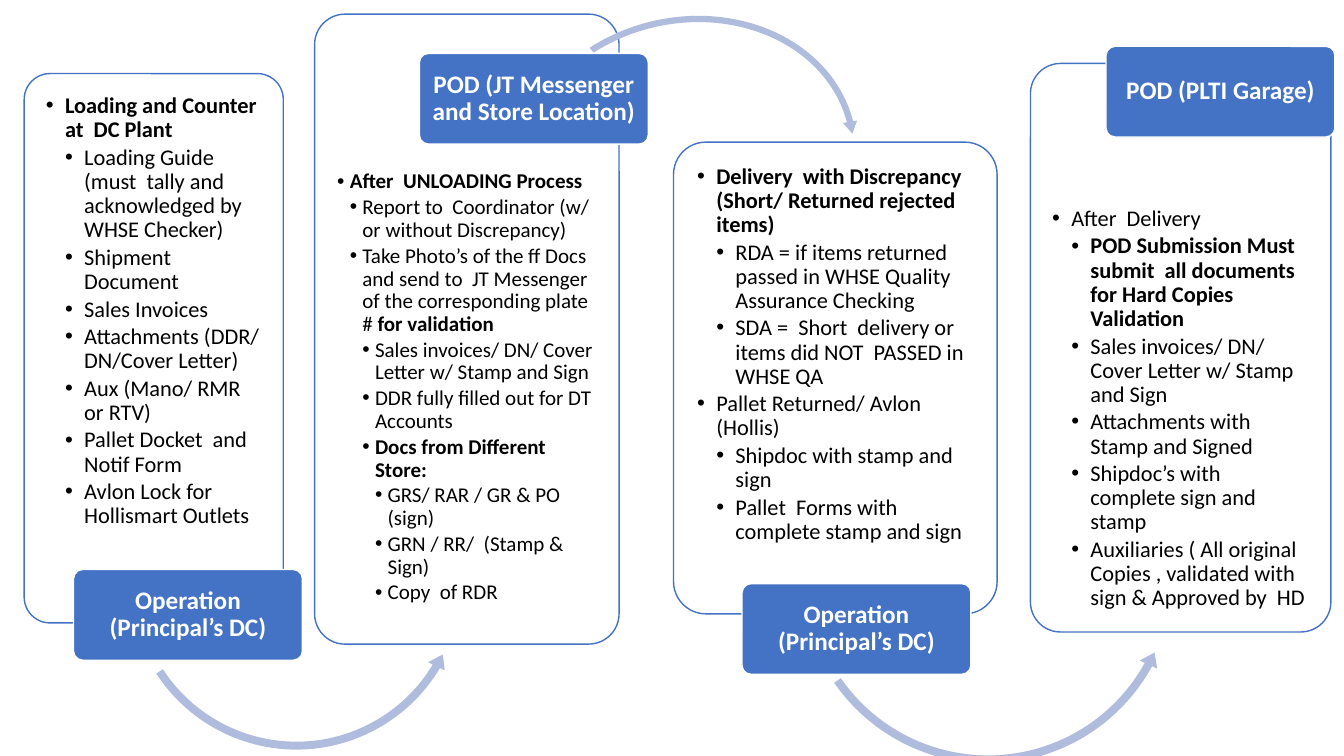
from lxml import etree
from pptx import Presentation
from pptx.dml.color import RGBColor
from pptx.enum.shapes import MSO_SHAPE
from pptx.enum.text import MSO_ANCHOR, PP_ALIGN
from pptx.oxml.ns import qn
from pptx.util import Pt

PX = 9144
FONT = "Calibri"
COLORS = {"blue": "4472C4", "arrow": "B0BCDE", "white": "FFFFFF", "black": "000000"}
ROUNDED = MSO_SHAPE.ROUNDED_RECTANGLE
OVER = MSO_SHAPE.CIRCULAR_ARROW
UNDER = MSO_SHAPE.LEFT_CIRCULAR_ARROW
TOP, MIDDLE = MSO_ANCHOR.TOP, MSO_ANCHOR.MIDDLE
CENTER, LEFT = PP_ALIGN.CENTER, PP_ALIGN.LEFT
TAB_WIDTH, TAB_HEIGHT = 227, 90

STEPS = [
    {
        "card": (24, 73, 257, 545), "body": (32, 80, 242, 413), "size": 16, "indent": 19,
        "tab": (73, 565, "Operation (Principal’s DC)"),
        "arrow": (UNDER, (123, 407, 342, 342), 35, (0.023, 2.834, 213.531, 67.188, 0.027)),
        "items": [
            (1, "", "Loading and Counter at  DC Plant"),
            (2, "Loading Guide (must  tally and acknowledged by  WHSE Checker)", ""),
            (2, "Shipment Document", ""),
            (2, "Sales Invoices", ""),
            (2, "Attachments (DDR/ DN/Cover Letter)", ""),
            (2, "Aux (Mano/ RMR or RTV)", ""),
            (2, "Pallet Docket  and Notif Form", ""),
            (2, "Avlon Lock for Hollismart Outlets", ""),
        ],
    },
    {
        "card": (312, 14, 302, 625), "body": (321, 156, 284, 473), "size": 15, "indent": 12.5,
        "tab": (416, 53, "POD (JT Messenger and Store Location)"),
        "arrow": (OVER, (507, 13, 348, 295), 348, (0.021, 2.493, 214.944, 144.948, 0.024)),
        "items": [
            (1, "", "After  UNLOADING Process"),
            (2, "Report to  Coordinator (w/ or without Discrepancy)", ""),
            (2, "Take Photo’s of the ff Docs and send to  JT Messenger  of the corresponding plate # ",
             "for validation"),
            (3, "Sales invoices/ DN/ Cover Letter w/ Stamp and Sign", ""),
            (3, "DDR fully filled out for DT Accounts", ""),
            (3, "", "Docs from Different Store:"),
            (4, "GRS/ RAR / GR & PO (sign)", ""),
            (4, "GRN / RR/  (Stamp & Sign)", ""),
            (4, "Copy  of RDR", ""),
        ],
    },
    {
        "card": (668, 141, 321, 468), "body": (678, 150, 303, 349), "size": 16, "indent": 19,
        "tab": (736, 579, "Operation (Principal’s DC)"),
        "arrow": (UNDER, (789, 381, 382, 382), 27.8, (0.021, 2.523, 0.576, 70.542, 0.025)),
        "items": [
            (1, "", "Delivery  with Discrepancy (Short/ Returned rejected items)"),
            (2, "RDA = if items returned passed in WHSE Quality  Assurance Checking", ""),
            (2, "SDA =  Short  delivery or items did NOT  PASSED in WHSE QA", ""),
            (1, "Pallet Returned/ Avlon (Hollis)", ""),
            (2, "Shipdoc with stamp and sign", ""),
            (2, "Pallet  Forms with complete stamp and sign", ""),
        ],
    },
    {
        "card": (1022, 63, 298, 564), "body": (1030, 192, 281, 426), "size": 16, "indent": 19,
        "tab": (1097, 46, "POD (PLTI Garage)"),
        "arrow": None,
        "items": [
            (1, "After  Delivery", ""),
            (2, "", "POD Submission Must  submit  all documents for Hard Copies Validation"),
            (2, "Sales invoices/ DN/ Cover Letter w/ Stamp and Sign", ""),
            (2, "Attachments with Stamp and Signed", ""),
            (2, "Shipdoc’s with complete sign and stamp", ""),
            (2, "Auxiliaries ( All original  Copies , validated with sign & Approved by  HD", ""),
        ],
    },
]


def px(length):
    return round(length * PX)


def color(name):
    return RGBColor.from_string(COLORS[name])


def add_block(page, kind, place, fill, line=None):
    block = page.shapes.add_shape(kind, *map(px, place))
    block.shadow.inherit = False
    block.fill.solid()
    block.fill.fore_color.rgb = color(fill)
    if line:
        block.line.color.rgb = color(line)
        block.line.width = Pt(1)
    else:
        block.line.fill.background()
    return block


def add_rounded(page, place, fill, line):
    block = add_block(page, ROUNDED, place, fill, line)
    block.adjustments[0] = 0.1
    return block


def set_frame(block, anchor, side, edge):
    frame = block.text_frame
    frame.word_wrap = True
    frame.vertical_anchor = anchor
    frame.margin_left = frame.margin_right = px(side)
    frame.margin_top = frame.margin_bottom = px(edge)
    return frame


def space_para(para, after):
    para.line_spacing = 0.9
    spacing = etree.SubElement(para._p.get_or_add_pPr(), qn("a:spcAft"))
    etree.SubElement(spacing, qn("a:spcPct")).set("val", str(after * 1000))


def style_font(font, size, name, bold):
    font.name = FONT
    font.size = Pt(size)
    font.bold = bold
    font.color.rgb = color(name)


def add_bullet(para, level, indent):
    para.level = level - 1
    props = para._p.get_or_add_pPr()
    props.set("marL", str(px(level * indent)))
    props.set("indent", str(-px(indent)))
    etree.SubElement(props, qn("a:buFont")).set("typeface", "Arial")
    etree.SubElement(props, qn("a:buChar")).set("char", "•")


def add_body(page, place, items, size, indent):
    box = page.shapes.add_textbox(*map(px, place))
    frame = set_frame(box, TOP, 13.5, 13.5)
    for index, (level, plain, strong) in enumerate(items):
        para = frame.add_paragraph() if index else frame.paragraphs[0]
        para.alignment = LEFT
        space_para(para, 15)
        add_bullet(para, level, indent)
        for text, bold in ((plain, False), (strong, True)):
            if text:
                span = para.add_run()
                span.text = text
                style_font(span.font, size, "black", bold)


def add_arrow(page, kind, place, rotation, adjustments):
    arrow = add_block(page, kind, place, "arrow")
    arrow.rotation = rotation
    for index, value in enumerate(adjustments):
        arrow.adjustments[index] = value


def add_tab(page, left, top, text):
    tab = add_rounded(page, (left, top, TAB_WIDTH, TAB_HEIGHT), "blue", "white")
    frame = set_frame(tab, MIDDLE, 4, 3)
    frame.text = text
    para = frame.paragraphs[0]
    para.alignment = CENTER
    space_para(para, 35)
    style_font(para.runs[0].font, 18, "white", True)


def main():
    deck = Presentation()
    deck.slide_width, deck.slide_height = px(1333), px(750)
    page = deck.slides.add_slide(deck.slide_layouts[6])
    for step in STEPS:
        add_rounded(page, step["card"], "white", "blue")
        add_body(page, step["body"], step["items"], step["size"], step["indent"])
        if step["arrow"]:
            add_arrow(page, *step["arrow"])
        add_tab(page, *step["tab"])
    deck.save("out.pptx")


if __name__ == "__main__":
    main()
